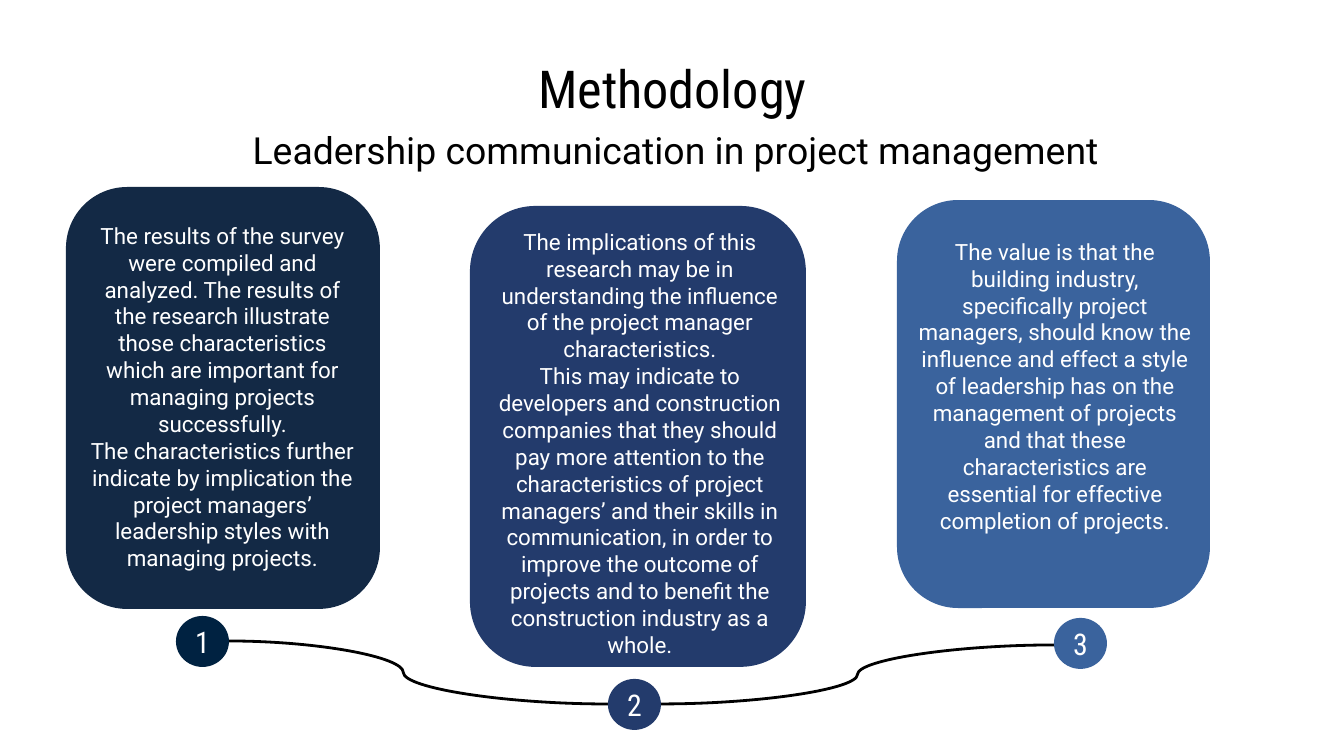
import pptx
import pptx.util
import pptx.dml.color
import pptx.enum.shapes
import pptx.enum.text
import pptx.oxml.ns
import lxml.etree

EMU_PER_PX = 914400 / 134.4
BODY = "Roboto"
CONDENSED = "Roboto Condensed"
TOP = pptx.enum.text.MSO_ANCHOR.TOP
MIDDLE = pptx.enum.text.MSO_ANCHOR.MIDDLE

STEPS = [
    {
        "card": (66, 187, 314, 422), "card_color": "132945",
        "text": (74, 215, 297, 394), "inset": 7,
        "badge": (176, 616), "badge_color": "002241",
        "paragraphs": [
            "The results of the survey were compiled and analyzed. The results of the "
            "research illustrate those characteristics which are important for managing "
            "projects successfully.",
            "The characteristics further indicate by implication the project managers’ "
            "leadership styles with managing projects.",
        ],
    },
    {
        "card": (470, 206, 336, 461), "card_color": "233B6C",
        "text": (480, 215, 320, 503), "inset": 13,
        "badge": (608, 679), "badge_color": "233B6C",
        "paragraphs": [
            "The implications of this research may be in understanding the influence of "
            "the project manager characteristics.",
            "This may indicate to developers and construction companies that they should "
            "pay more attention to the characteristics of project managers’ and their "
            "skills in communication, in order to improve the outcome of projects and to "
            "benefit the construction industry as a whole.",
        ],
    },
    {
        "card": (897, 200, 313, 408), "card_color": "3A639D",
        "text": (904, 231, 302, 312), "inset": 7,
        "badge": (1054, 618), "badge_color": "3A639D",
        "paragraphs": [
            "The value is that the building industry, specifically project managers, "
            "should know the influence and effect a style of leadership has on the "
            "management of projects and that these characteristics are essential for "
            "effective completion of projects.",
        ],
    },
]
LINKS = [((229, 641), (608, 704), 46000), ((661, 704), (1054, 645), 50000)]


def px(length):
    return pptx.util.Emu(round(length * EMU_PER_PX))


def color(value):
    return pptx.dml.color.RGBColor.from_string(value)


def apply(target, values):
    for name, value in values.items():
        setattr(target, name, value)


def write(shape, paragraphs, font, size, ink, anchor=TOP, inset=13, wrap=True):
    frame = shape.text_frame
    apply(frame, {
        "word_wrap": wrap, "vertical_anchor": anchor,
        "margin_left": px(13), "margin_right": px(13),
        "margin_top": px(inset), "margin_bottom": px(inset),
    })
    for index, wording in enumerate(paragraphs):
        paragraph = frame.add_paragraph() if index else frame.paragraphs[0]
        paragraph.alignment = pptx.enum.text.PP_ALIGN.CENTER
        run = paragraph.add_run()
        run.text = wording
        apply(run.font, {"name": font, "size": pptx.util.Pt(size)})
        run.font.color.rgb = color(ink)


def add_text(slide, box, paragraphs, **style):
    write(slide.shapes.add_textbox(*map(px, box)), paragraphs, **style)


def add_filled(slide, preset, box, fill):
    shape = slide.shapes.add_shape(preset, *map(px, box))
    shape.shadow.inherit = False
    shape.fill.solid()
    shape.fill.fore_color.rgb = color(fill)
    shape.line.fill.background()
    return shape


def add_card(slide, step):
    card = add_filled(slide, pptx.enum.shapes.MSO_SHAPE.ROUNDED_RECTANGLE,
                      step["card"], step["card_color"])
    card.adjustments[0] = 0.195
    add_text(slide, step["text"], step["paragraphs"], font=BODY, size=12,
             ink="FFFFFF", inset=step["inset"])


def add_badge(slide, number, step):
    badge = add_filled(slide, pptx.enum.shapes.MSO_SHAPE.OVAL,
                       (*step["badge"], 53, 51), step["badge_color"])
    write(badge, [str(number)], CONDENSED, 16, "FFFFFF", anchor=MIDDLE, wrap=False)


def add_link(slide, start, end, bend):
    link = slide.shapes.add_connector(pptx.enum.shapes.MSO_CONNECTOR.CURVE,
                                      *map(px, start + end))
    link.line.color.rgb = color("000000")
    link.line.width = pptx.util.Pt(1.5)
    qn = pptx.oxml.ns.qn
    properties = link._element.spPr
    guides = properties.find(qn("a:prstGeom")).find(qn("a:avLst"))
    lxml.etree.SubElement(guides, qn("a:gd"), name="adj1", fmla=f"val {bend}")
    lxml.etree.SubElement(properties, qn("a:effectLst"))


def main():
    deck = pptx.Presentation()
    apply(deck, {"slide_width": px(1344), "slide_height": px(756)})
    slide = deck.slides.add_slide(deck.slide_layouts[6])
    add_text(slide, (67, 43, 1211, 85), ["Methodology"],
             font=CONDENSED, size=28, ink="000000")
    add_text(slide, (228, 120, 896, 59), ["Leadership communication in project management"],
             font=BODY, size=20, ink="000000", anchor=MIDDLE)
    for step in STEPS:
        add_card(slide, step)
    for link in LINKS:
        add_link(slide, *link)
    for number, step in enumerate(STEPS, 1):
        add_badge(slide, number, step)
    deck.save("out.pptx")


if __name__ == "__main__":
    main()
